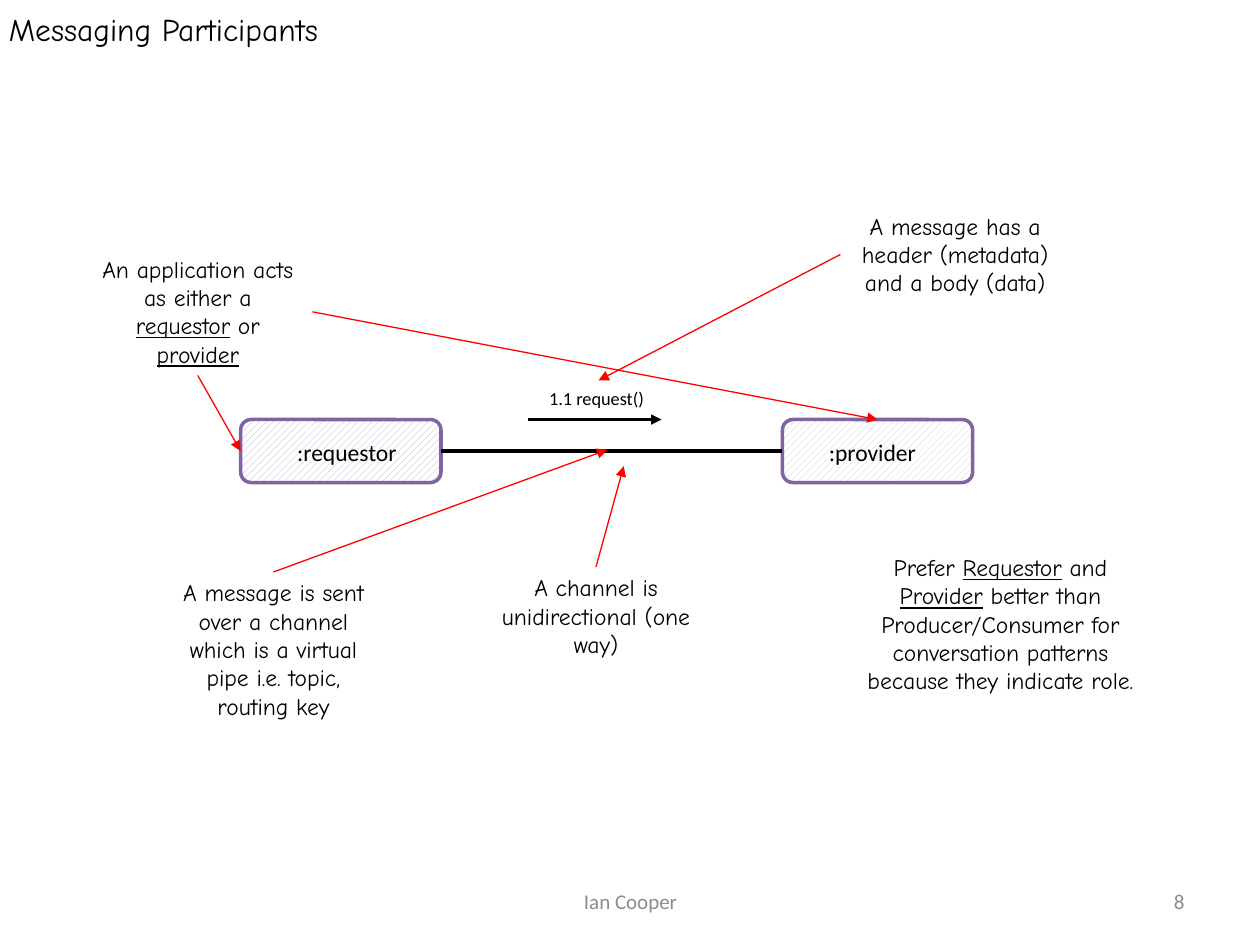
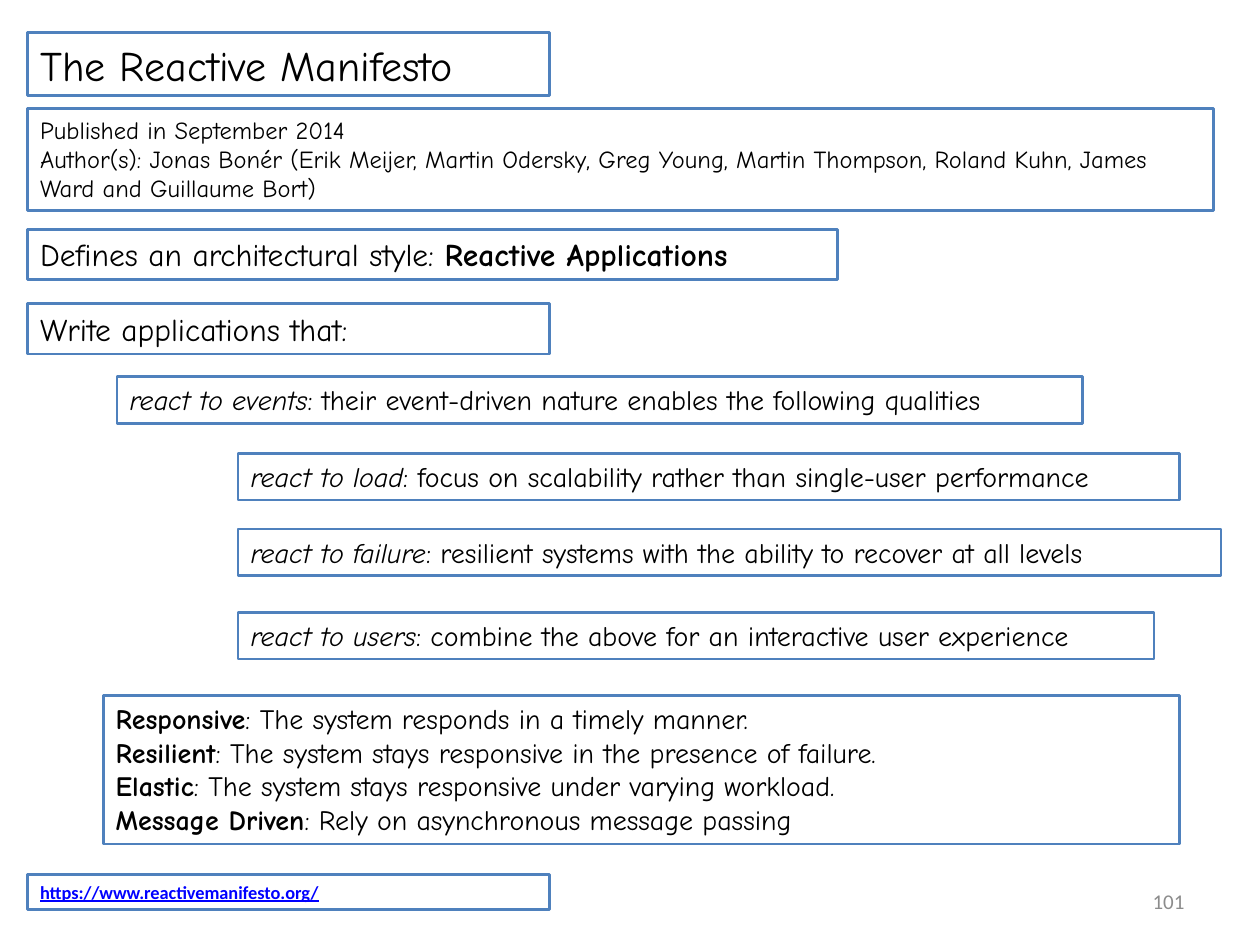
from lxml import etree
from pptx import Presentation
from pptx import util as u
from pptx.dml.color import RGBColor
from pptx.enum import dml, shapes, text
from pptx.oxml.ns import qn

PX = 9144  # EMU per px, 100 px to the inch
HAND, SANS = "Comic Neue", "Calibri"
BLACK, RED, GREY, LINK = "000000", "FF0000", "8C8C8C", "0000FF"
BLUE, PURPLE = "4F81BD", "8064A2"
LEFT, CENTER, RIGHT = (text.PP_ALIGN.LEFT, text.PP_ALIGN.CENTER,
                       text.PP_ALIGN.RIGHT)
TOP, MIDDLE = text.MSO_ANCHOR.TOP, text.MSO_ANCHOR.MIDDLE
SITE_TOP, SITE_LEFT, SITE_BOTTOM, SITE_RIGHT = range(4)


def emu(*lengths):
    return [n * PX for n in lengths]


def rgb(color):
    return RGBColor.from_string(color)


def set_line(line, color, width):
    line.color.rgb = rgb(color)
    line.width = u.Pt(width)


def write(sp, paragraphs, size, font=HAND, color=BLACK, align=LEFT, anchor=TOP,
          inset=(10, 5)):
    """Fill sp; a paragraph is a list of runs, each a string or (string, "b"/"i"/"u" marks)."""
    tf = sp.text_frame
    tf.word_wrap = True
    tf.auto_size = text.MSO_AUTO_SIZE.NONE
    tf.vertical_anchor = anchor
    tf.margin_left = tf.margin_right = inset[0] * PX
    tf.margin_top = tf.margin_bottom = inset[1] * PX
    for i, runs in enumerate(paragraphs):
        p = tf.add_paragraph() if i else tf.paragraphs[0]
        p.alignment = align
        p.font.name, p.font.size = font, u.Pt(size)
        p.font.color.rgb = rgb(color)
        for run in runs:
            words, marks = (run, "") if isinstance(run, str) else run
            r = p.add_run()
            r.text = words
            if "b" in marks:
                r.font.bold = True
            if "i" in marks:
                r.font.italic = True
            if "u" in marks:
                r.font.underline = True


def add_text(s, box, runs, size, **style):
    sp = s.shapes.add_textbox(*emu(*box))
    write(sp, [runs], size, **style)
    return sp


def add_note(s, box, *runs):
    return add_text(s, box, runs, 13.5, align=CENTER)


def add_footer(s, box, words, align):
    add_text(s, box, [words], 12, font=SANS, color=GREY, align=align, anchor=MIDDLE)


def add_slide(prs, number, title_box, title, size, **style):
    s = prs.slides.add_slide(prs.slide_layouts[5])
    sp = s.shapes.title
    sp.left, sp.top, sp.width, sp.height = emu(*title_box)
    write(sp, [[title]], size, **style)
    add_footer(s, (717, 695, 233, 40), number, RIGHT)
    return s


def add_framed(s, box, paragraphs, size, **style):
    sp = s.shapes.add_shape(shapes.MSO_SHAPE.RECTANGLE, *emu(*box))
    sp.shadow.inherit = False
    sp.fill.background()
    set_line(sp.line, BLUE, 1.5)
    write(sp, paragraphs, size, **style)


def add_participant(s, box, hatch, label_box, label):
    sp = s.shapes.add_shape(shapes.MSO_SHAPE.ROUNDED_RECTANGLE, *emu(*box))
    sp.shadow.inherit = False
    sp.fill.patterned()
    sp.fill.pattern = dml.MSO_PATTERN.WIDE_UPWARD_DIAGONAL
    sp.fill.fore_color.rgb = rgb(hatch)
    sp.fill.back_color.rgb = rgb("FFFFFF")
    set_line(sp.line, PURPLE, 2)
    add_text(s, label_box, [label], 13.5, font=SANS)
    return sp


def connect(s, start, end, color=RED, width=0.75, arrow=True):
    """Draw a line; each end is an (x, y) point or a (shape, site) pair."""
    def is_point(place):
        return isinstance(place[0], int)

    points = [emu(*place) if is_point(place) else (0, 0) for place in (start, end)]
    cx = s.shapes.add_connector(shapes.MSO_CONNECTOR.STRAIGHT, *points[0], *points[1])
    if not is_point(start):
        cx.begin_connect(*start)
    if not is_point(end):
        cx.end_connect(*end)
    set_line(cx.line, color, width)
    if arrow:
        ln = cx.line._get_or_add_ln()
        etree.SubElement(ln, qn("a:tailEnd"), type="triangle")
    etree.SubElement(cx._element.spPr, qn("a:effectLst"))


def participants_slide(prs):
    s = add_slide(prs, "8", (0, 1, 1000, 45), "Messaging Participants", 18, inset=(7, 7))
    add_footer(s, (342, 695, 317, 40), "Ian Cooper", CENTER)

    requestor = add_participant(s, (191, 333, 159, 50), "B3A2C7",
                                (226, 343, 109, 33), ":requestor")
    provider = add_participant(s, (621, 333, 151, 50), "CCC1DA",
                               (648, 343, 96, 33), ":provider")
    connect(s, (requestor, SITE_RIGHT), (provider, SITE_LEFT), BLACK, 2.5, arrow=False)
    connect(s, (419, 333), (525, 333), BLACK, 1.5)
    request = add_text(s, (426, 302, 98, 28), ["1.1 request()"], 10.5, font=SANS)

    roles = add_note(s, (66, 197, 182, 101), "An application acts as either a ",
                     ("requestor", "u"), " or ", ("provider", "u"))
    pipe = add_note(s, (126, 454, 182, 124),
                    "A message is sent over a channel which is a virtual pipe "
                    "i.e. topic, routing key")
    message = add_note(s, (667, 163, 182, 78),
                       "A message has a header (metadata) and a body (data)")
    one_way = add_note(s, (382, 450, 182, 78), "A channel is unidirectional (one way)")
    add_note(s, (667, 434, 254, 124), "Prefer ", ("Requestor", "u"), " and ",
             ("Provider", "u"), " better than Producer/Consumer for conversation "
             "patterns because they indicate role.")

    connect(s, (roles, SITE_BOTTOM), (requestor, SITE_LEFT))
    connect(s, (roles, SITE_RIGHT), (provider, SITE_TOP))
    connect(s, (pipe, SITE_TOP), (482, 357))
    connect(s, (message, SITE_LEFT), (request, SITE_TOP))
    connect(s, (one_way, SITE_TOP), (495, 370))


def manifesto_slide(prs):
    s = add_slide(prs, "101", (22, 26, 414, 50), "The Reactive Manifesto", 24)
    set_line(s.shapes.title.line, BLUE, 1.5)

    add_framed(s, (22, 86, 941, 81), [
        ["Published in September 2014"],
        ["Author(s): Jonas Bonér (Erik Meijer, Martin Odersky, Greg Young, "
         "Martin Thompson, Roland Kuhn, James Ward and Guillaume Bort)"]], 14)
    add_framed(s, (22, 182, 643, 40), [
        ["Defines an architectural style: ", ("Reactive Applications", "b")]], 18)
    add_framed(s, (22, 241, 414, 40), [["Write applications that:"]], 18)

    reactions = [
        (93, 299, 766, "events", "their event-driven nature enables the following qualities"),
        (189, 360, 747, "load", "focus on scalability rather than single-user performance"),
        (189, 420, 780, "failure",
         "resilient systems with the ability to recover at all levels"),
        (189, 486, 727, "users", "combine the above for an interactive user experience"),
    ]
    for left, top, width, trigger, meaning in reactions:
        add_framed(s, (left, top, width, 37),
                   [[(f"react to {trigger}", "i"), f": {meaning}"]], 16)

    traits = [
        ("Responsive", "The system responds in a timely manner."),
        ("Resilient", "The system stays responsive in the presence of failure."),
        ("Elastic", "The system stays responsive under varying workload."),
        ("Message Driven", "Rely on asynchronous message passing"),
    ]
    add_framed(s, (82, 552, 854, 118),
               [[(trait, "b"), f": {meaning}"] for trait, meaning in traits], 16)
    add_framed(s, (22, 694, 414, 28), [[("https://www.reactivemanifesto.org/", "bu")]],
               10.5, font=SANS, color=LINK)


def main():
    prs = Presentation()
    prs.slide_width, prs.slide_height = emu(1000, 750)
    participants_slide(prs)
    manifesto_slide(prs)
    prs.save("out.pptx")


if __name__ == "__main__":
    main()
